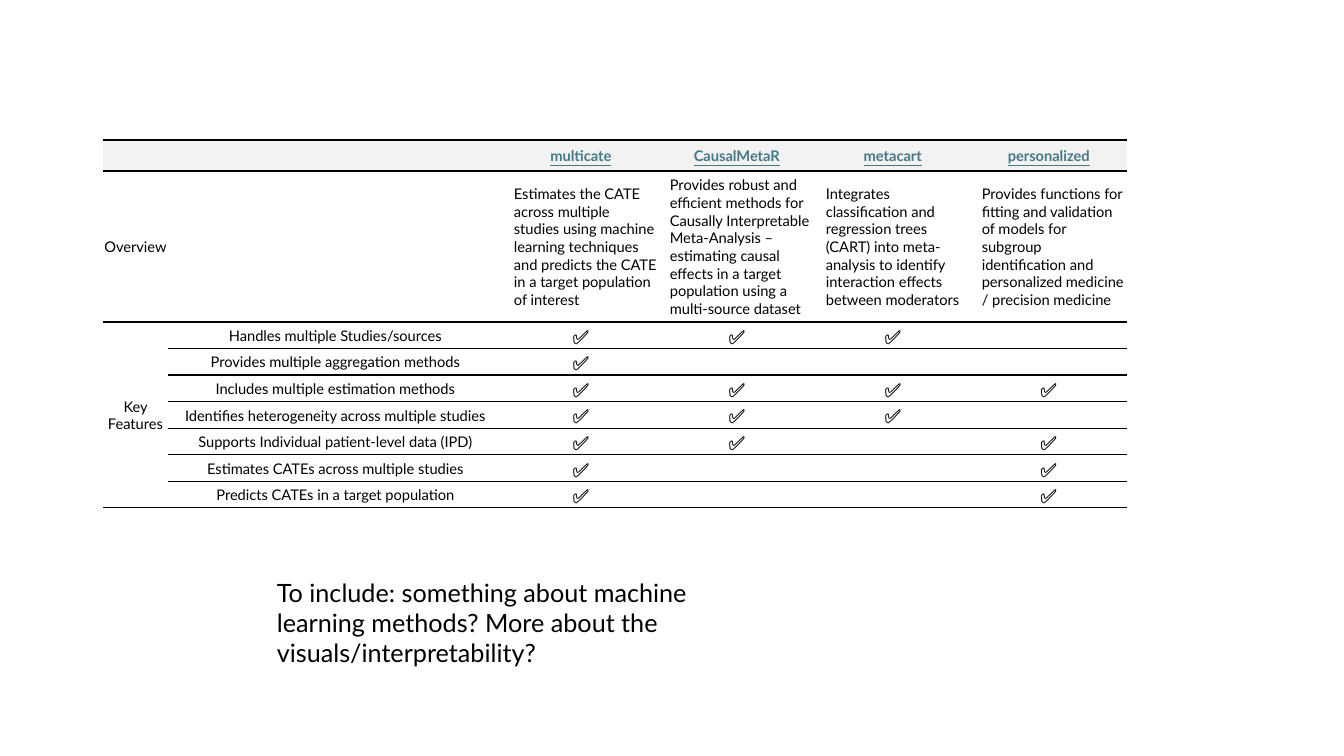
from lxml import etree
from pptx import Presentation
from pptx.dml.color import RGBColor
from pptx.enum.text import MSO_ANCHOR, MSO_AUTO_SIZE, PP_ALIGN
from pptx.oxml.ns import qn
from pptx.util import Emu, Pt

MIDDLE, BOTTOM = MSO_ANCHOR.MIDDLE, MSO_ANCHOR.BOTTOM
LEFT, CENTER = PP_ALIGN.LEFT, PP_ALIGN.CENTER
GROW = MSO_AUTO_SIZE.SHAPE_TO_FIT_TEXT
SCALE = 914400 / 100.8
FONT, BLACK, TEAL, GRAY, WHITE = "Lato", "000000", "467886", "F2F2F2", "FFFFFF"
CHECK = "✅"

TOOLS = {
    "multicate": "Estimates the CATE across multiple studies using machine learning "
                 "techniques and predicts the CATE in a target population of interest",
    "CausalMetaR": "Provides robust and efficient methods for Causally Interpretable "
                   "Meta-Analysis – estimating causal effects in a target population "
                   "using a multi-source dataset",
    "metacart": "Integrates classification and regression trees (CART) into "
                "meta-analysis to identify interaction effects between moderators",
    "personalized": "Provides functions for fitting and validation of models for subgroup "
                    "identification and personalized medicine / precision medicine",
}
# Each feature with one mark per tool
FEATURES = [
    ("Handles multiple Studies/sources", "xxx-"),
    ("Provides multiple aggregation methods", "x---"),
    ("Includes multiple estimation methods", "xxxx"),
    ("Identifies heterogeneity across multiple studies", "xxx-"),
    ("Supports Individual patient-level data (IPD)", "xx-x"),
    ("Estimates CATEs across multiple studies", "x--x"),
    ("Predicts CATEs in a target population", "x--x"),
]


def px(n):
    return Emu(round(n * SCALE))


def color(code):
    return RGBColor.from_string(code)


def style(par, size, code=BLACK):
    par.font.name, par.font.size = FONT, Pt(size)
    par.font.color.rgb = color(code)


def border(cell, top, bottom):
    """Draw the top and bottom lines, in points; 0 means no line."""
    props = cell._tc.get_or_add_tcPr()
    for side, width in (("L", 0), ("R", 0), ("T", top), ("B", bottom)):
        line = etree.SubElement(props, qn("a:ln" + side), w=str(Pt(width)))
        if width:
            fill = etree.SubElement(line, qn("a:solidFill"))
            etree.SubElement(fill, qn("a:srgbClr"), val=BLACK)
        else:
            etree.SubElement(line, qn("a:noFill"))


def fill_cell(cell, text, back=WHITE, lines=(1, 1), align=CENTER):
    border(cell, *lines)
    cell.fill.solid()
    cell.fill.fore_color.rgb = color(back)
    cell.margin_left = cell.margin_right = cell.margin_top = px(1)
    cell.margin_bottom = 0
    cell.vertical_anchor = BOTTOM if text == CHECK else MIDDLE
    par = cell.text_frame.paragraphs[0]
    par.text, par.alignment = text, align
    style(par, 14 if text == CHECK else 10.5)
    if not text:
        etree.SubElement(par._p, qn("a:endParaRPr"), sz="1050")
    return par


def add_grid(slide, x, y, w, h):
    count = len(FEATURES)
    grid = slide.shapes.add_table(count + 2, 6, px(x), px(y), px(w), px(h)).table
    grid.first_row = grid.horz_banding = False
    for col, width in zip(grid.columns, [65, 335] + [156] * 4):
        col.width = px(width)
    head, about = 31, 151
    for row, high in zip(grid.rows, [head, about] + [(h - head - about) / count] * count):
        row.height = px(high)

    # Header and overview rows
    for c, name in enumerate(["", "", *TOOLS]):
        par = fill_cell(grid.cell(0, c), name, GRAY, (2, 1))
        if name:
            style(par, 10.5, TEAL)
            par.font.bold = par.font.underline = True
    for c, text in enumerate(["Overview", "", *TOOLS.values()]):
        par = fill_cell(grid.cell(1, c), text, align=LEFT if c > 1 else CENTER)
        if c > 1:
            par._p.get_or_add_pPr().set("marL", str(px(10)))

    # Feature rows under one merged label
    grid.cell(2, 0).merge(grid.cell(count + 1, 0))
    for r, (name, marks) in enumerate(FEATURES, 2):
        fill_cell(grid.cell(r, 0), "Key Features" if r == 2 else "",
                  lines=(int(r == 2), int(r in (2, count + 1))))
        fill_cell(grid.cell(r, 1), name)
        for c, mark in enumerate(marks, 2):
            fill_cell(grid.cell(r, c), CHECK if mark == "x" else "")


def add_note(slide, x, y, w, h):
    frame = slide.shapes.add_textbox(px(x), px(y), px(w), px(h)).text_frame
    frame.word_wrap, frame.auto_size = True, GROW
    par = frame.paragraphs[0]
    par.text = ("To include: something about machine learning methods? "
                "More about the visuals/interpretability?")
    style(par, 18)


def main():
    deck = Presentation()
    deck.slide_width, deck.slide_height = px(1344), px(756)
    slide = deck.slides.add_slide(deck.slide_layouts[6])
    add_grid(slide, 103, 140, 1024, 368)
    add_note(slide, 267, 572, 466, 102)
    deck.save("out.pptx")


if __name__ == "__main__":
    main()
